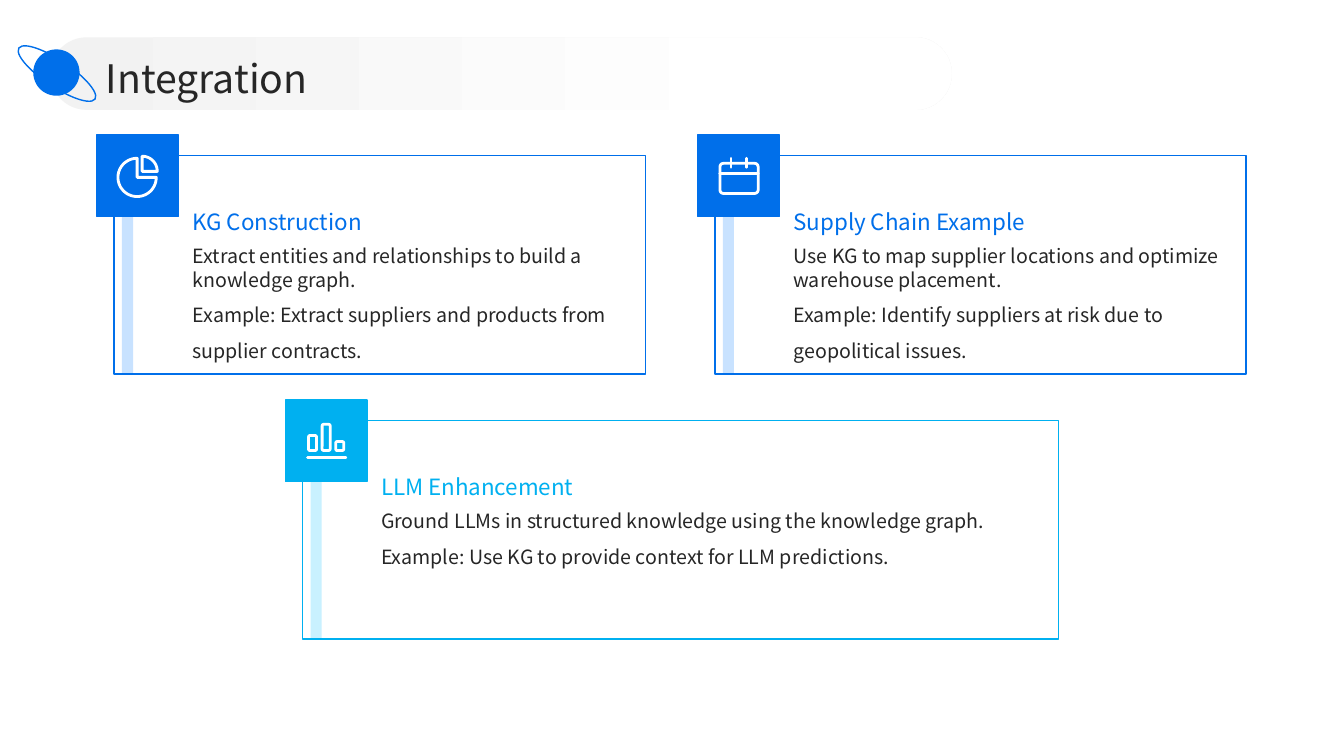
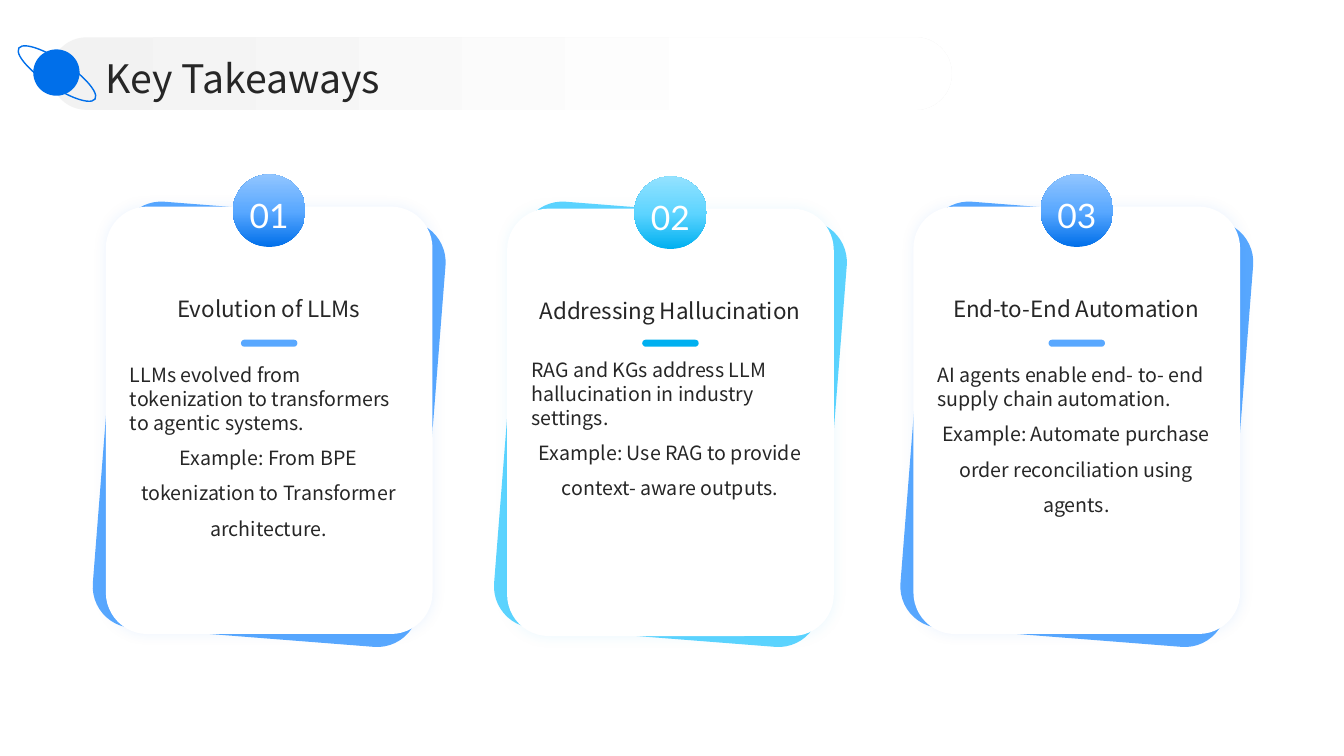
from dataclasses import dataclass
from math import cos, radians, sin

from lxml.etree import SubElement
from pptx import Presentation
from pptx.dml.color import RGBColor
from pptx.enum.shapes import MSO_CONNECTOR, MSO_SHAPE
from pptx.enum.text import MSO_ANCHOR, MSO_AUTO_SIZE, PP_ALIGN
from pptx.oxml.ns import qn
from pptx.util import Inches, Pt


@dataclass(frozen=True)
class Theme:
    # Colours
    ink: str = "262626"
    white: str = "FFFFFF"
    band: str = "F2F2F2"
    blue: str = "006FEA"
    blue_mid: str = "59A8FF"
    blue_soft: str = "91C5FF"
    blue_pale: str = "C8E2FF"
    cyan: str = "00B0F0"
    cyan_mid: str = "5DD4FF"
    cyan_soft: str = "93E2FF"
    cyan_pale: str = "C9F1FF"
    # Type
    text_font: str = "Noto Sans CJK SC"
    number_font: str = "Lato"
    title_size: int = 28
    number_size: int = 24
    heading_size: int = 16
    body_size: int = 14
    # Line pitches, in points
    title_pitch: float = 37
    lead_pitch: float = 17
    example_pitch: float = 25.2
    # Strokes, in points
    outline: float = 1
    icon_stroke: float = 2


def apply(target, values):
    for name, value in values.items():
        setattr(target, name, value)


def sector_points(x, y, radius, start, end, steps=40):
    """Corner of a pie sector, then its arc; angles run clockwise from the right."""
    angles = [radians(start + (end - start) * i / steps) for i in range(steps + 1)]
    return [(x, y)] + [(x + radius * cos(a), y + radius * sin(a)) for a in angles]


class SlideBuilder:
    def __init__(self, deck, theme):
        self.deck = deck
        self.theme = theme
        self.page = None

    # Pages and their shared header
    def new_page(self, title):
        self.page = self.deck.slides.add_slide(self.deck.slide_layouts[5])
        theme = self.theme
        band = self.shape(MSO_SHAPE.ROUNDED_RECTANGLE, 0.5, 0.37, 8.94, 0.72, adjust=0.5)
        self.gradient(band, [(0, theme.band), (80, theme.white)], 0)

        box = self.page.shapes.title
        tree = box.element.getparent()
        tree.append(box.element)
        apply(box, dict(left=Inches(1.05), top=Inches(0.49),
                        width=Inches(11.67), height=Inches(0.51)))
        self.fill_text(box, [(title, PP_ALIGN.LEFT, Pt(theme.title_pitch))],
                       theme.title_size, anchor=MSO_ANCHOR.MIDDLE)

        self.shape(MSO_SHAPE.OVAL, 0.33, 0.49, 0.46, 0.46, fill=theme.blue)
        orbit = self.shape(MSO_SHAPE.OVAL, 0.11, 0.6, 0.91, 0.26, line=theme.blue)
        orbit.rotation = 33.8

    # Basic elements
    def paint(self, shape, fill=None, line=None, weight=None):
        shape.shadow.inherit = False
        if fill:
            shape.fill.solid()
            shape.fill.fore_color.rgb = RGBColor.from_string(fill)
        else:
            shape.fill.background()
        if line:
            self.stroke(shape, line, weight or self.theme.outline)
        else:
            shape.line.fill.background()
        return shape

    def stroke(self, item, colour, weight):
        item.line.color.rgb = RGBColor.from_string(colour)
        item.line.width = Pt(weight)

    def shape(self, kind, x, y, width, height, adjust=None, **style):
        shape = self.page.shapes.add_shape(
            kind, Inches(x), Inches(y), Inches(width), Inches(height))
        if adjust is not None:
            shape.adjustments[0] = adjust
        return self.paint(shape, **style)

    def line(self, x1, y1, x2, y2):
        line = self.page.shapes.add_connector(
            MSO_CONNECTOR.STRAIGHT, Inches(x1), Inches(y1), Inches(x2), Inches(y2))
        self.stroke(line, self.theme.white, self.theme.icon_stroke)
        properties = line.element.spPr
        SubElement(properties, qn("a:effectLst"))
        properties.find(qn("a:ln")).set("cap", "rnd")

    def outline(self, points):
        corners = [(Inches(x), Inches(y)) for x, y in points]
        builder = self.page.shapes.build_freeform(*corners[0], scale=1.0)
        builder.add_line_segments(corners[1:], close=True)
        self.paint(builder.convert_to_shape(), line=self.theme.white,
                   weight=self.theme.icon_stroke)

    def gradient(self, shape, stops, angle):
        shape.fill.gradient()
        shape.fill.gradient_angle = angle
        stop_list = shape.element.spPr.find(qn("a:gradFill")).find(qn("a:gsLst"))
        for stop in list(stop_list):
            stop_list.remove(stop)
        for position, colour in stops:
            stop = SubElement(stop_list, qn("a:gs"), pos=str(position * 1000))
            SubElement(stop, qn("a:srgbClr"), val=colour)

    def glow(self, shape, colour):
        effects = shape.element.spPr.find(qn("a:effectLst"))
        shadow = SubElement(effects, qn("a:outerShdw"), blurRad=str(Pt(10)),
                            dist="0", dir="0", algn="ctr", rotWithShape="0")
        tint = SubElement(shadow, qn("a:srgbClr"), val=colour)
        SubElement(tint, qn("a:alpha"), val="8000")

    # Text: each line is (wording, alignment, line spacing)
    def fill_text(self, box, lines, size, colour=None, font=None,
                  anchor=MSO_ANCHOR.TOP, inset=(0, 0)):
        frame = box.text_frame
        side, edge = Inches(inset[0]), Inches(inset[1])
        apply(frame, dict(word_wrap=True, auto_size=MSO_AUTO_SIZE.NONE,
                          vertical_anchor=anchor, margin_left=side,
                          margin_right=side, margin_top=edge, margin_bottom=edge))
        for index, (wording, alignment, spacing) in enumerate(lines):
            para = frame.add_paragraph() if index else frame.paragraphs[0]
            apply(para, dict(alignment=alignment, line_spacing=spacing,
                             space_before=Pt(0), space_after=Pt(0)))
            span = para.add_run()
            span.text = wording
            apply(span.font, dict(name=font or self.theme.text_font,
                                  size=Pt(size), bold=False))
            span.font.color.rgb = RGBColor.from_string(colour or self.theme.ink)

    def text(self, x, y, width, height, lines, size, **style):
        box = self.page.shapes.add_textbox(
            Inches(x), Inches(y), Inches(width), Inches(height))
        self.fill_text(box, lines, size, **style)

    def body_lines(self, lead, example, alignment):
        return [(lead, PP_ALIGN.LEFT, Pt(self.theme.lead_pitch)),
                (example, alignment, Pt(self.theme.example_pitch))]

    # Icons, placed from the corner of their tile
    def pie_icon(self, x, y):
        self.outline(sector_points(x + 0.4, y + 0.42, 0.19, 0, 270))
        self.outline(sector_points(x + 0.45, y + 0.36, 0.15, 270, 360))

    def calendar_icon(self, x, y):
        self.shape(MSO_SHAPE.ROUNDED_RECTANGLE, x + 0.22, y + 0.28, 0.38, 0.3,
                   adjust=0.12, line=self.theme.white, weight=self.theme.icon_stroke)
        self.line(x + 0.22, y + 0.38, x + 0.6, y + 0.38)
        for ring in (0.33, 0.48):
            self.line(x + ring, y + 0.23, x + ring, y + 0.32)

    def bars_icon(self, x, y):
        for index, top in enumerate((0.35, 0.24, 0.41)):
            self.shape(MSO_SHAPE.ROUNDED_RECTANGLE, x + 0.23 + 0.135 * index, y + top,
                       0.08, 0.5 - top, adjust=0.2, line=self.theme.white,
                       weight=self.theme.icon_stroke)
        self.line(x + 0.22, y + 0.57, x + 0.6, y + 0.57)

    # Cards
    def icon_card(self, x, y, width, colour, pale, icon, heading, lead, example):
        theme = self.theme
        rectangle = MSO_SHAPE.RECTANGLE
        self.shape(rectangle, x, y, width, 2.17, fill=theme.white, line=colour)
        self.shape(rectangle, x + 0.08, y - 0.01, 0.11, 2.17, fill=pale)
        text_x, text_width = x + 0.78, width - 0.94
        self.text(text_x, y + 0.88, text_width, 1.22,
                  self.body_lines(lead, example, PP_ALIGN.LEFT), theme.body_size)
        self.text(text_x, y + 0.05, text_width, 0.74,
                  [(heading, PP_ALIGN.LEFT, 1.3)], theme.heading_size,
                  colour=colour, anchor=MSO_ANCHOR.BOTTOM)
        tile_x, tile_y = x - 0.17, y - 0.2
        self.shape(rectangle, tile_x, tile_y, 0.81, 0.81, fill=colour, line=colour)
        icon(tile_x, tile_y)

    def number_card(self, x, y, body_y, shades, accent, number, heading, lead, example):
        theme = self.theme
        rounded = MSO_SHAPE.ROUNDED_RECTANGLE
        inset = (0.1, 0.05)
        dark, middle, soft = shades
        back = self.shape(rounded, x, 2.09, 3.24, 4.24, adjust=0.127, fill=middle)
        back.rotation = 4.5
        front = self.shape(rounded, x, y, 3.24, 4.24, adjust=0.127, fill=theme.white)
        self.glow(front, dark)
        self.text(x + 0.14, body_y, 2.95, 2.6,
                  self.body_lines(lead, example, PP_ALIGN.CENTER),
                  theme.body_size, inset=inset)
        self.text(x + 0.14, y + 0.47, 2.95, 0.72, [(heading, PP_ALIGN.CENTER, 1.1)],
                  theme.heading_size, anchor=MSO_ANCHOR.BOTTOM, inset=inset)
        badge = self.shape(MSO_SHAPE.FLOWCHART_CONNECTOR, x + 1.26, y - 0.32, 0.72, 0.72)
        self.gradient(badge, [(0, dark), (49, middle), (100, soft)], 90)
        self.text(x + 0.95, y - 0.21, 1.34, 0.5, [(number, PP_ALIGN.CENTER, 1.1)],
                  theme.number_size, colour=theme.white, font=theme.number_font,
                  inset=inset)
        self.shape(rounded, x + 1.34, 3.37, 0.56, 0.07, adjust=0.5, fill=accent)


def main():
    deck = Presentation()
    deck.slide_width, deck.slide_height = Inches(13.33), Inches(7.5)
    theme = Theme()
    builder = SlideBuilder(deck, theme)

    # Integration
    builder.new_page("Integration")
    for card in (
        (1.13, 1.54, 5.27, theme.blue, theme.blue_pale, builder.pie_icon,
         "KG Construction",
         "Extract entities and relationships to build a knowledge graph.",
         "Example: Extract suppliers and products from supplier contracts."),
        (7.09, 1.54, 5.27, theme.blue, theme.blue_pale, builder.calendar_icon,
         "Supply Chain Example",
         "Use KG to map supplier locations and optimize warehouse placement.",
         "Example: Identify suppliers at risk due to geopolitical issues."),
        (3, 4.17, 7.5, theme.cyan, theme.cyan_pale, builder.bars_icon,
         "LLM Enhancement",
         "Ground LLMs in structured knowledge using the knowledge graph.",
         "Example: Use KG to provide context for LLM predictions."),
    ):
        builder.icon_card(*card)

    # Key takeaways
    builder.new_page("Key Takeaways")
    blues = (theme.blue, theme.blue_mid, theme.blue_soft)
    cyans = (theme.cyan, theme.cyan_mid, theme.cyan_soft)
    for card in (
        (1.05, 2.05, 3.55, blues, theme.blue_mid, "01", "Evolution of LLMs",
         "LLMs evolved from tokenization to transformers to agentic systems.",
         "Example: From BPE tokenization to Transformer architecture."),
        (5.03, 2.07, 3.5, cyans, theme.cyan, "02", "Addressing Hallucination",
         "RAG and KGs address LLM hallucination in industry settings.",
         "Example: Use RAG to provide context- aware outputs."),
        (9.06, 2.05, 3.55, blues, theme.blue_mid, "03", "End-to-End Automation",
         "AI agents enable end- to- end supply chain automation.",
         "Example: Automate purchase order reconciliation using agents."),
    ):
        builder.number_card(*card)

    deck.save("out.pptx")


if __name__ == "__main__":
    main()
